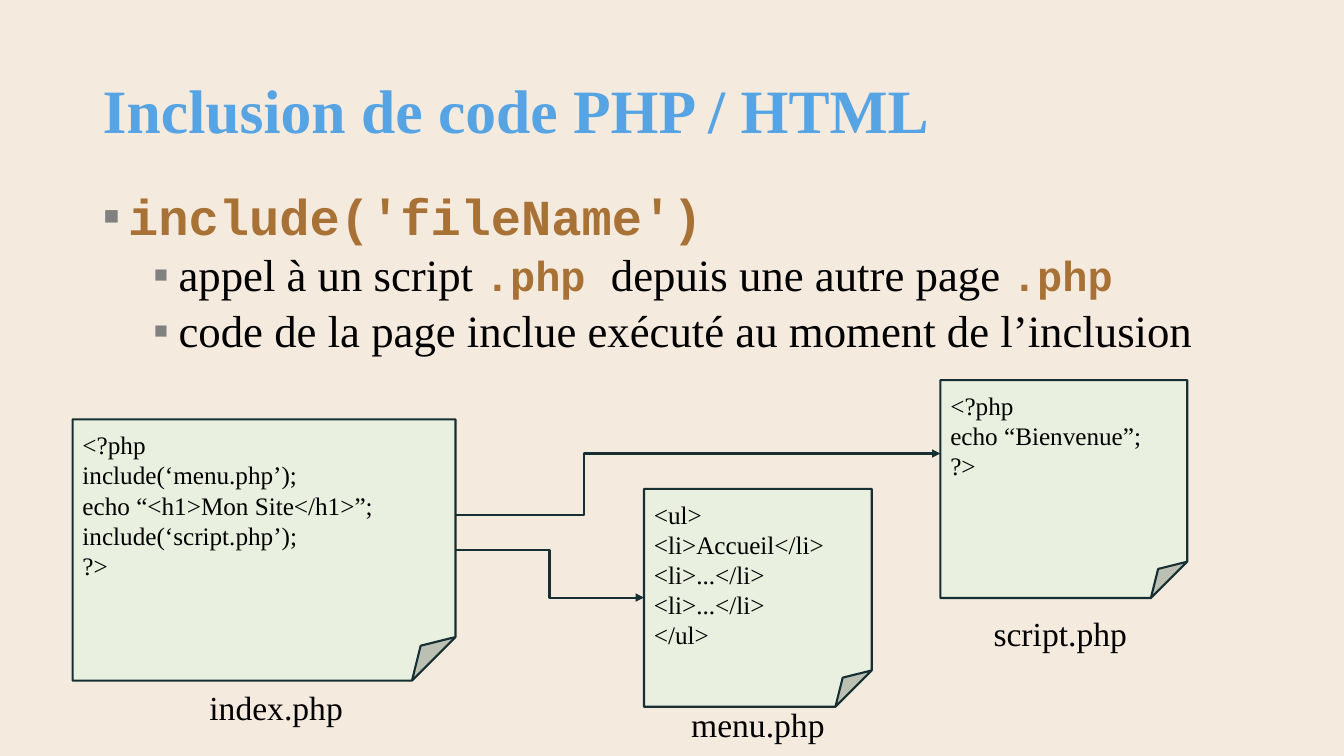
import pptx
import pptx.dml.color
import pptx.enum.shapes
import pptx.enum.text
import pptx.oxml
import pptx.oxml.ns
import pptx.util

Cm, Pt = pptx.util.Cm, pptx.util.Pt
ALIGN = pptx.enum.text.PP_ALIGN
ANCHOR = pptx.enum.text.MSO_ANCHOR

COLORS = {
    "background": "F5EADE",
    "title": "56A4E4",
    "code": "A87236",
    "text": "000000",
    "bullet": "808080",
    "page": "EAF0E0",
    "outline": "162F33",
}
SERIF, MONO = "Times New Roman", "Courier New"


class InclusionSlide:
    """Draws text, file pages and arrows on one slide in a shared style."""

    def __init__(self, deck):
        self.slide = deck.slides.add_slide(deck.slide_layouts[6])
        fill = self.slide.background.fill
        fill.solid()
        fill.fore_color.rgb = self.color("background")

    def color(self, name):
        return pptx.dml.color.RGBColor.from_string(COLORS[name])

    def run(self, paragraph, words, size, color="text", font=SERIF, bold=False):
        run = paragraph.add_run()
        run.text = words
        run.font.size = Pt(size)
        run.font.name = font
        run.font.bold = bold
        run.font.color.rgb = self.color(color)

    def frame(self, shape, anchor, inset=0.25):
        frame = shape.text_frame
        frame.word_wrap = True
        frame.vertical_anchor = anchor
        frame.margin_left = frame.margin_right = Cm(0.25)
        frame.margin_top = frame.margin_bottom = Cm(inset)
        return frame

    def text_box(self, left, top, width, height, anchor, inset=0.25):
        box = self.slide.shapes.add_textbox(Cm(left), Cm(top), Cm(width), Cm(height))
        return self.frame(box, anchor, inset)

    def title(self, words):
        frame = self.text_box(2.34, 1.02, 29.21, 3.68, ANCHOR.MIDDLE, 0.13)
        heading = frame.paragraphs[0]
        heading.line_spacing = 0.9
        self.run(heading, words, 44, "title", bold=True)

    def bullets(self, items):
        frame = self.text_box(2.34, 4.7, 29.21, 12.47, ANCHOR.TOP, 0.13)
        for index, (level, pieces) in enumerate(items):
            item = frame.paragraphs[0] if index == 0 else frame.add_paragraph()
            item.level = level
            item.line_spacing = 0.9
            item.space_before = Pt(5 if level else 10)
            self.bullet(item, 0.64 + 1.27 * level)
            for words, size, is_code in pieces:
                if is_code:
                    self.run(item, words, size, "code", MONO, True)
                else:
                    self.run(item, words, size)

    def bullet(self, item, indent):
        properties = item._p.get_or_add_pPr()
        properties.set("marL", str(Cm(indent)))
        properties.set("indent", str(Cm(-0.64)))
        namespace = pptx.oxml.ns.nsdecls("a")
        for mark in (
            f'<a:buClr {namespace}><a:srgbClr val="{COLORS["bullet"]}"/></a:buClr>',
            f'<a:buFont {namespace} typeface="{SERIF}"/>',
            f'<a:buChar {namespace} char="▪"/>',
        ):
            properties.append(pptx.oxml.parse_xml(mark))

    def page(self, left, top, width, height, lines):
        page = self.slide.shapes.add_shape(
            pptx.enum.shapes.MSO_SHAPE.FOLDED_CORNER,
            Cm(left), Cm(top), Cm(width), Cm(height))
        page.shadow.inherit = False
        page.fill.solid()
        page.fill.fore_color.rgb = self.color("page")
        self.outline(page.line)
        frame = self.frame(page, ANCHOR.TOP)
        for index, words in enumerate(lines):
            line = frame.paragraphs[0] if index == 0 else frame.add_paragraph()
            line.alignment = ALIGN.LEFT
            self.run(line, words, 18)

    def label(self, left, top, words):
        name = self.text_box(left, top, 4.32, 0.89, ANCHOR.MIDDLE).paragraphs[0]
        name.alignment = ALIGN.CENTER
        self.run(name, words, 24)

    def outline(self, line):
        line.color.rgb = self.color("outline")
        line.width = Pt(1.5)

    def arrow(self, start, end, bend):
        arrow = self.slide.shapes.add_connector(
            pptx.enum.shapes.MSO_CONNECTOR.ELBOW, *map(Cm, start + end))
        self.outline(arrow.line)
        namespace = pptx.oxml.ns.nsdecls("a")
        properties = arrow._element.spPr
        properties.find(".//" + pptx.oxml.ns.qn("a:avLst")).append(pptx.oxml.parse_xml(
            f'<a:gd {namespace} name="adj1" fmla="val {round(bend * 100000)}"/>'))
        properties.find(pptx.oxml.ns.qn("a:ln")).append(
            pptx.oxml.parse_xml(f'<a:tailEnd {namespace} type="triangle"/>'))
        properties.append(pptx.oxml.parse_xml(f"<a:effectLst {namespace}/>"))


def main():
    deck = pptx.Presentation()
    deck.slide_width, deck.slide_height = Cm(33.87), Cm(19.05)
    slide = InclusionSlide(deck)

    slide.title("Inclusion de code PHP / HTML")
    slide.bullets([
        (0, [("include('fileName')", 36, True)]),
        (1, [("appel à un script ", 32, False), (".php ", 30, True),
             ("depuis une autre page ", 32, False), (".php", 30, True)]),
        (1, [("code de la page inclue exécuté au moment de l’inclusion", 32, False)]),
    ])

    slide.page(1.83, 10.57, 9.65, 6.58, [
        "<?php", "include(‘menu.php’);", "echo “<h1>Mon Site</h1>”;",
        "include(‘script.php’);", "?>"])
    slide.page(16.23, 12.32, 5.74, 5.49, [
        "<ul>", "<li>Accueil</li>", "<li>...</li>", "<li>...</li>", "</ul>"])
    slide.page(23.7, 9.58, 6.22, 5.49, ["<?php", "echo “Bienvenue”;", "?>"])

    slide.arrow((11.47, 13.87), (16.23, 15.06), 0.5)
    slide.arrow((11.47, 12.98), (23.7, 11.43), 0.265)

    slide.label(4.8, 17.37, "index.php")
    slide.label(16.94, 17.81, "menu.php")
    slide.label(24.56, 15.52, "script.php")

    deck.save("out.pptx")


if __name__ == "__main__":
    main()
